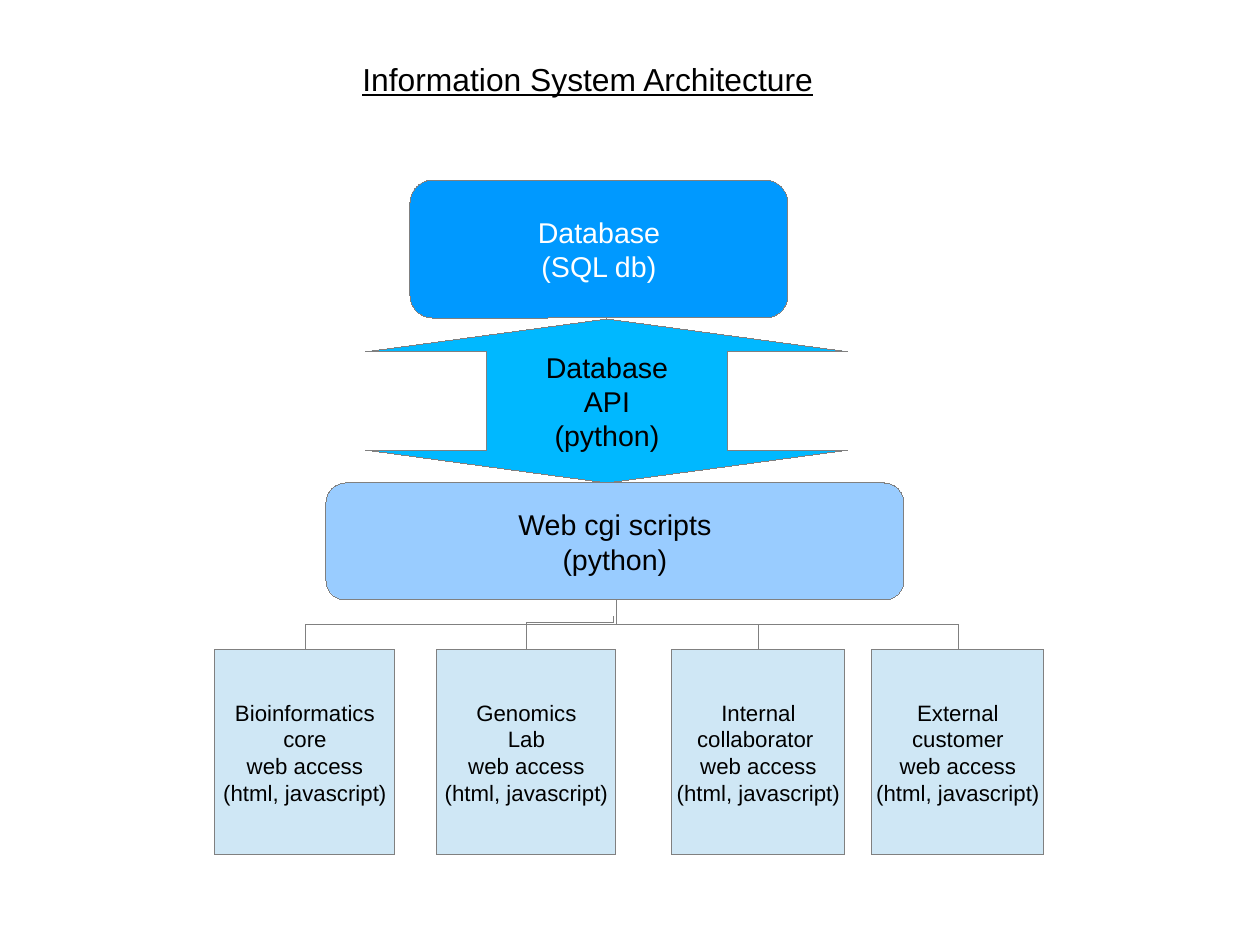
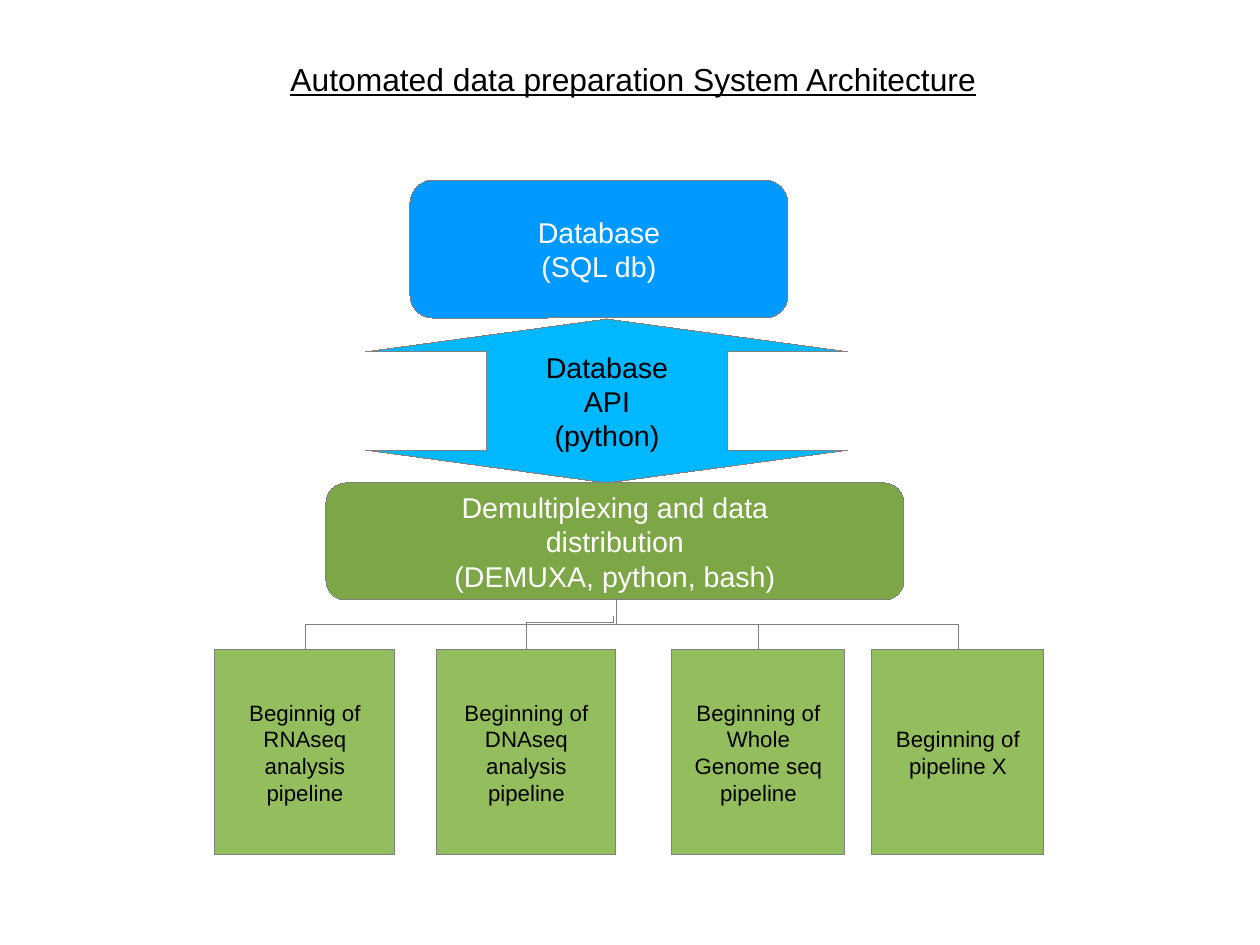
import pptx
import pptx.util
import pptx.dml.color
import pptx.enum.shapes
import pptx.enum.text
import pptx.oxml

PIXEL = 8000  # EMU
FONT = "Arial"
HAIRLINE = pptx.util.Pt(0.01)  # a width of 0 would fall back to the theme's line
COLORS = {
    "database": "0099FF", "api": "00B8FF",
    "web": "99CCFF", "access": "CFE7F5",
    "demultiplexing": "7DA647", "pipeline": "94BD5E",
    "line": "808080", "dark": "000000", "light": "FFFFFF",
}
RECTANGLE = pptx.enum.shapes.MSO_SHAPE.RECTANGLE
ROUNDED = pptx.enum.shapes.MSO_SHAPE.ROUNDED_RECTANGLE
ARROW = pptx.enum.shapes.MSO_SHAPE.UP_DOWN_ARROW

TITLE_TOP, TITLE_HEIGHT = 54, 47
BOX_TOP, BOX_HEIGHT = 650, 205
BOX_COLUMNS = [(215, 180), (437, 179), (672, 173), (872, 172)]  # left, width
# Each branch ends at x, y and bends at a share of its height.
TRUNK = (616, 600, 0.5)
HOOK = (614, 617, 0.84)
BRANCH_ENDS = [TRUNK, HOOK, TRUNK, TRUNK]

web_access = ["web access", "(html, javascript)"]
slides = [
    {
        "title": "Information System Architecture", "title_span": (351, 475),
        "middle": ["Web cgi scripts", "(python)"],
        "middle_colors": ("web", "dark"),
        "box_color": "access",
        "boxes": [
            ["Bioinformatics", "core"] + web_access,
            ["Genomics", "Lab"] + web_access,
            ["Internal", "collaborator "] + web_access,
            ["External", "customer"] + web_access,
        ],
    },
    {
        "title": "Automated data preparation System Architecture", "title_span": (279, 710),
        "middle": ["Demultiplexing and data", "distribution", "(DEMUXA, python, bash)"],
        "middle_colors": ("demultiplexing", "light"),
        "box_color": "pipeline",
        "boxes": [
            ["Beginnig of", "RNAseq", "analysis", "pipeline"],
            ["Beginning of", "DNAseq", "analysis", "pipeline"],
            ["Beginning of", "Whole", "Genome seq", "pipeline"],
            ["Beginning of", "pipeline X"],
        ],
    },
]


def write_lines(shape, lines, size, color, align):
    """Write one paragraph per line, without wrapping."""
    frame = shape.text_frame
    frame.word_wrap = False
    for index, line in enumerate(lines):
        para = frame.add_paragraph() if index else frame.paragraphs[0]
        para.alignment = align
        span = para.add_run()
        span.text = line
        span.font.name = FONT
        span.font.size = pptx.util.Pt(size)
        span.font.color.rgb = pptx.dml.color.RGBColor.from_string(COLORS[color])


def add_block(page, kind, bounds, fill, lines, size, color):
    """Add a filled, thinly outlined shape with centred lines of text."""
    block = page.shapes.add_shape(kind, *[length * PIXEL for length in bounds])
    block.shadow.inherit = False
    block.fill.solid()
    block.fill.fore_color.rgb = pptx.dml.color.RGBColor.from_string(COLORS[fill])
    block.line.color.rgb = pptx.dml.color.RGBColor.from_string(COLORS["line"])
    block.line.width = HAIRLINE
    block.text_frame.vertical_anchor = pptx.enum.text.MSO_ANCHOR.MIDDLE
    write_lines(block, lines, size, color, pptx.enum.text.PP_ALIGN.CENTER)
    return block


deck = pptx.Presentation()
deck.slide_width = 1260 * PIXEL
deck.slide_height = 945 * PIXEL
title_only = deck.slide_layouts[5]

for content in slides:
    page = deck.slides.add_slide(title_only)

    title = page.shapes.title
    left, width = content["title_span"]
    title.left, title.top = left * PIXEL, TITLE_TOP * PIXEL
    title.width, title.height = width * PIXEL, TITLE_HEIGHT * PIXEL
    title.text_frame.vertical_anchor = pptx.enum.text.MSO_ANCHOR.TOP
    title.text_frame.auto_size = pptx.enum.text.MSO_AUTO_SIZE.SHAPE_TO_FIT_TEXT
    write_lines(title, [content["title"]], 20, "dark", pptx.enum.text.PP_ALIGN.LEFT)
    title.text_frame.paragraphs[0].runs[0].font.underline = True

    add_block(page, ROUNDED, (410, 180, 378, 138), "database",
              ["Database", "(SQL db)"], 18, "light")
    arrow = add_block(page, ARROW, (366, 319, 482, 164), "api",
                      ["Database", "API", "(python)"], 18, "dark")
    guided = [(arrow, [0.5, 0.2])]  # shaft width, head length
    fill, color = content["middle_colors"]
    add_block(page, ROUNDED, (326, 483, 578, 117), fill, content["middle"], 18, color)

    for (left, width), lines, branch_end in zip(BOX_COLUMNS, content["boxes"], BRANCH_ENDS):
        add_block(page, RECTANGLE, (left, BOX_TOP, width, BOX_HEIGHT),
                  content["box_color"], lines, 14, "dark")

        # The elbow is laid out on its side, then turned about its centre.
        start_x = left + width / 2
        end_x, end_y, bend = branch_end
        side = 1 if start_x < end_x else -1
        center_x, center_y = (start_x + end_x) / 2, (BOX_TOP + end_y) / 2
        half_rise, half_run = (BOX_TOP - end_y) / 2, abs(end_x - start_x) / 2
        corners = (center_x + side * half_rise, center_y + half_run,
                   center_x - side * half_rise, center_y - half_run)
        branch = page.shapes.add_connector(
            pptx.enum.shapes.MSO_CONNECTOR.ELBOW,
            *[round(length * PIXEL) for length in corners])
        branch.line.color.rgb = pptx.dml.color.RGBColor.from_string(COLORS["line"])
        branch.line.width = HAIRLINE
        properties = branch.element.spPr
        turn = 90 if side > 0 else 270
        properties.find(pptx.oxml.ns.qn("a:xfrm")).set("rot", str(turn * 60000))
        properties.append(pptx.oxml.xmlchemy.OxmlElement("a:effectLst"))
        guided.append((branch, [bend]))

    # Write the guides by name: adj1, adj2.
    for shape, values in guided:
        geometry = shape.element.spPr.find(pptx.oxml.ns.qn("a:prstGeom"))
        guides = geometry.find(pptx.oxml.ns.qn("a:avLst"))
        guides.clear()
        for number, value in enumerate(values, start=1):
            guide = pptx.oxml.xmlchemy.OxmlElement("a:gd")
            guide.set("name", f"adj{number}")
            guide.set("fmla", f"val {round(value * 100000)}")
            guides.append(guide)

deck.save("out.pptx")
